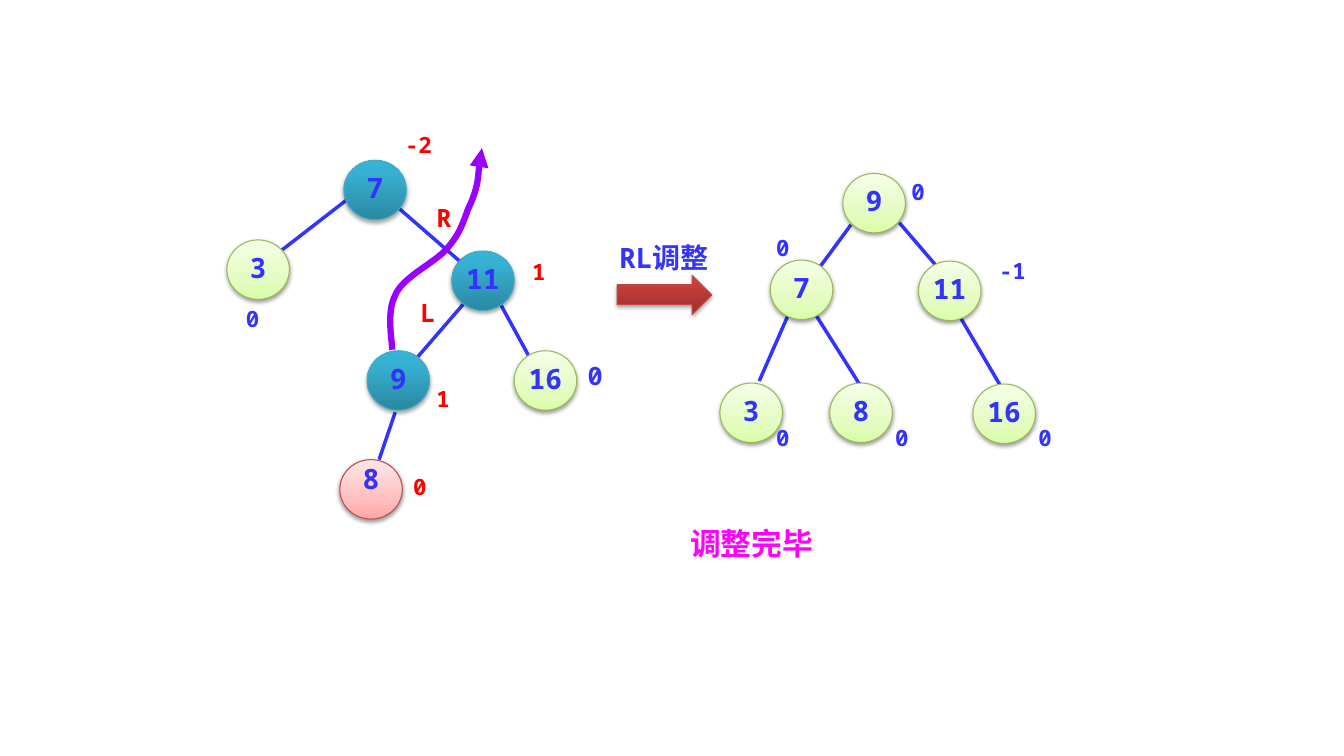
from copy import deepcopy
from lxml.etree import SubElement
from pptx import Presentation
from pptx.dml.color import RGBColor
from pptx.enum.shapes import MSO_CONNECTOR, MSO_SHAPE
from pptx.enum.text import MSO_ANCHOR, MSO_AUTO_SIZE, PP_ALIGN
from pptx.oxml.ns import qn
from pptx.util import Inches, Pt

COLS, ROWS = 133.3, 75
HEX = {"blue": "3333FF", "red": "FF0000", "pink": "FF00FF", "purple": "9900FF",
       "black": "000000", "leaf": "98B955", "teal": "46AAC5", "rust": "BF4C48"}
SHADES = {
    "green": ("leaf", 38, 1.6, ((0, "DAFDA7"), (.35, "E4FCC2"), (1, "F5FFE7"))),
    "teal": ("teal", 35, 1.8, ((0, "2A88A2"), (.8, "37B1D2"), (1, "34B4D6"))),
    "rose": ("rust", 38, 1.6, ((0, "FFA6A5"), (.35, "FFC0BF"), (1, "FFE7E7"))),
    "brick": ("rust", 35, 1.8, ((0, "9C2F2D"), (.8, "CB3E3A"), (1, "CE3B37"))),
}
FONT = {"name": "Noto Sans Mono", "bold": True}
FRAME = {"word_wrap": True, "vertical_anchor": MSO_ANCHOR.TOP}
GROW = {"auto_size": MSO_AUTO_SIZE.SHAPE_TO_FIT_TEXT}
INSETS = {"margin_left": 0, "margin_right": 0, "margin_bottom": 0}
NODE_W, NODE_H = 6.2, 5.9


def apply(thing, values):
    for name, value in values.items():
        setattr(thing, name, value)


class Board:
    """Draws trees, labels and arrows on one slide, measured in grid cells."""

    def __init__(self, deck):
        self.slide = deck.slides.add_slide(deck.slide_layouts[6])
        self.shapes = self.slide.shapes
        self.col = deck.slide_width / COLS
        self.row = deck.slide_height / ROWS

    def cells(self, *nums):
        units = (self.col, self.row)
        return [int(num * units[i % 2]) for i, num in enumerate(nums)]

    def color(self, name):
        return RGBColor.from_string(HEX[name])

    def stroke(self, line, name, width):
        line.color.rgb = self.color(name)
        line.width = Pt(width)

    def letter(self, frame, text, size, color, **para):
        apply(frame, FRAME)
        first = frame.paragraphs[0]
        apply(first, para)
        run = first.add_run()
        run.text = text
        apply(run.font, FONT | {"size": Pt(size)})
        run.font.color.rgb = self.color(color)

    def solid(self, kind, box, shade):
        edge, alpha, drop, stops = SHADES[shade]
        shape = self.shapes.add_shape(kind, *self.cells(*box))
        shape.fill.gradient()
        shape.fill.gradient_angle = 90
        props = shape._element.spPr
        ramp = props.find(".//" + qn("a:gsLst"))
        ramp.insert(1, deepcopy(ramp[0]))
        for stop, (place, tint) in zip(shape.fill.gradient_stops, stops):
            stop.position = place
            stop.color.rgb = RGBColor.from_string(tint)
        self.stroke(shape.line, edge, .75)
        shape.shadow.inherit = False
        shadow = SubElement(props.find(qn("a:effectLst")), qn("a:outerShdw"),
                            blurRad=str(int(Pt(3.1))), dist=str(int(Pt(drop))),
                            dir="5400000", rotWithShape="0")
        tone = SubElement(shadow, qn("a:srgbClr"), val=HEX["black"])
        SubElement(tone, qn("a:alpha"), val=str(alpha * 1000))
        return shape

    def node(self, text, left, top, shade="green", inset=.8):
        shape = self.solid(MSO_SHAPE.OVAL, (left, top, NODE_W, NODE_H), shade)
        frame = shape.text_frame
        apply(frame, INSETS | {"margin_top": self.cells(0, inset)[1]})
        self.letter(frame, text, 20, "blue",
                    alignment=PP_ALIGN.CENTER, line_spacing=.8)

    def edge(self, *ends):
        line = self.shapes.add_connector(MSO_CONNECTOR.STRAIGHT, *self.cells(*ends))
        self.stroke(line.line, "blue", 2.5)
        SubElement(line._element.spPr, qn("a:effectLst"))

    def label(self, text, left, top, color="blue", size=16, width=3.1,
              height=3.7, align=PP_ALIGN.LEFT):
        box = self.shapes.add_textbox(*self.cells(left, top, width, height))
        self.letter(box.text_frame, text, size, color, alignment=align)
        apply(box.text_frame, GROW)

    def curve(self, points, color, width):
        spots = [self.cells(*point) for point in points]
        pen = self.shapes.build_freeform(*spots[0])
        pen.add_line_segments(spots[1:], close=False)
        shape = pen.convert_to_shape()
        shape.fill.background()
        shape.shadow.inherit = False
        self.stroke(shape.line, color, width)
        props = shape._element.spPr
        SubElement(props.find(qn("a:ln")), qn("a:tailEnd"), type="triangle")
        track = props.find(".//" + qn("a:path"))
        steps = track.findall(qn("a:lnTo"))
        for i in range(0, len(steps), 3):
            bend = SubElement(track, qn("a:cubicBezTo"))
            for step in steps[i:i + 3]:
                bend.append(step[0])
                track.remove(step)

    def tree(self, edges, nodes, labels):
        for draw, items in ((self.edge, edges), (self.node, nodes),
                            (self.label, labels)):
            for item in items:
                draw(*item)


BEFORE = (
    ((39.6, 20.7, 45.7, 26), (34.3, 19.9, 27.2, 25.4), (46.1, 30, 40.4, 36.6),
     (49.6, 30.1, 52.6, 35.6), (39.2, 40.9, 37.6, 45.6)),
    (("7", 34.1, 15.9, "teal"), ("3", 22.5, 23.8), ("11", 44.8, 24.9, "teal"),
     ("9", 36.4, 34.8, "teal"), ("16", 51, 34.8), ("8", 33.7, 45.6, "rose", 0)),
    (("R", 42.3, 19.6, "red", 18, 3.9, 4), ("L", 40.7, 29, "red", 18, 3.9, 4),
     ("0", 40, 46.4, "red"), ("1", 42.3, 37.7, "red"),
     ("0", 57.3, 35.3, "blue", 18, 3.1, 4), ("1", 51.8, 25.1, "red"),
     ("0", 23.4, 29.8), ("-2", 39.2, 12.5, "red", 16, 6.4)),
)
AFTER = (
    ((80.7, 30.9, 85.3, 38.2), (78.2, 31.2, 75.3, 37.8), (84.4, 22.3, 80.5, 27.6),
     (89.2, 22.1, 92.8, 26.3), (95.2, 31.4, 99.3, 38.4)),
    (("8", 82.3, 38), ("3", 71.4, 38), ("9", 83.6, 17.2), ("7", 76.4, 25.8),
     ("11", 91.1, 25.9), ("16", 96.5, 38.1)),
    (("0", 76, 41.6), ("0", 87.8, 41.6), ("0", 102, 41.6), ("0", 89.4, 17.2),
     ("0", 76, 22.7), ("-1", 98.1, 25, "blue", 16, 5.5)),
)
ROUTE = ((38.9, 34.7), (38.9, 33.8), (38.3, 31), (39.2, 29.3),
         (39.9, 27.5), (43.1, 26.1), (44.3, 24.7),
         (45.5, 23.3), (45.8, 22.5), (46.4, 20.8),
         (47.5, 18.5), (47.5, 16), (47.8, 14.7))


def main():
    deck = Presentation()
    apply(deck, {"slide_width": Inches(13.33), "slide_height": Inches(7.5)})
    board = Board(deck)
    board.tree(*BEFORE)
    board.tree(*AFTER)
    board.label("调整完毕", 65.1, 51.6, "pink", 22, 18.9, 4.7, PP_ALIGN.CENTER)
    board.curve(ROUTE, "purple", 4.5)
    board.solid(MSO_SHAPE.RIGHT_ARROW, (61.2, 27.3, 9.4, 3.9), "brick")
    board.label("RL调整", 59.6, 23.4, "blue", 20, 12.5, 4.4, PP_ALIGN.CENTER)
    deck.save("out.pptx")


if __name__ == "__main__":
    main()
